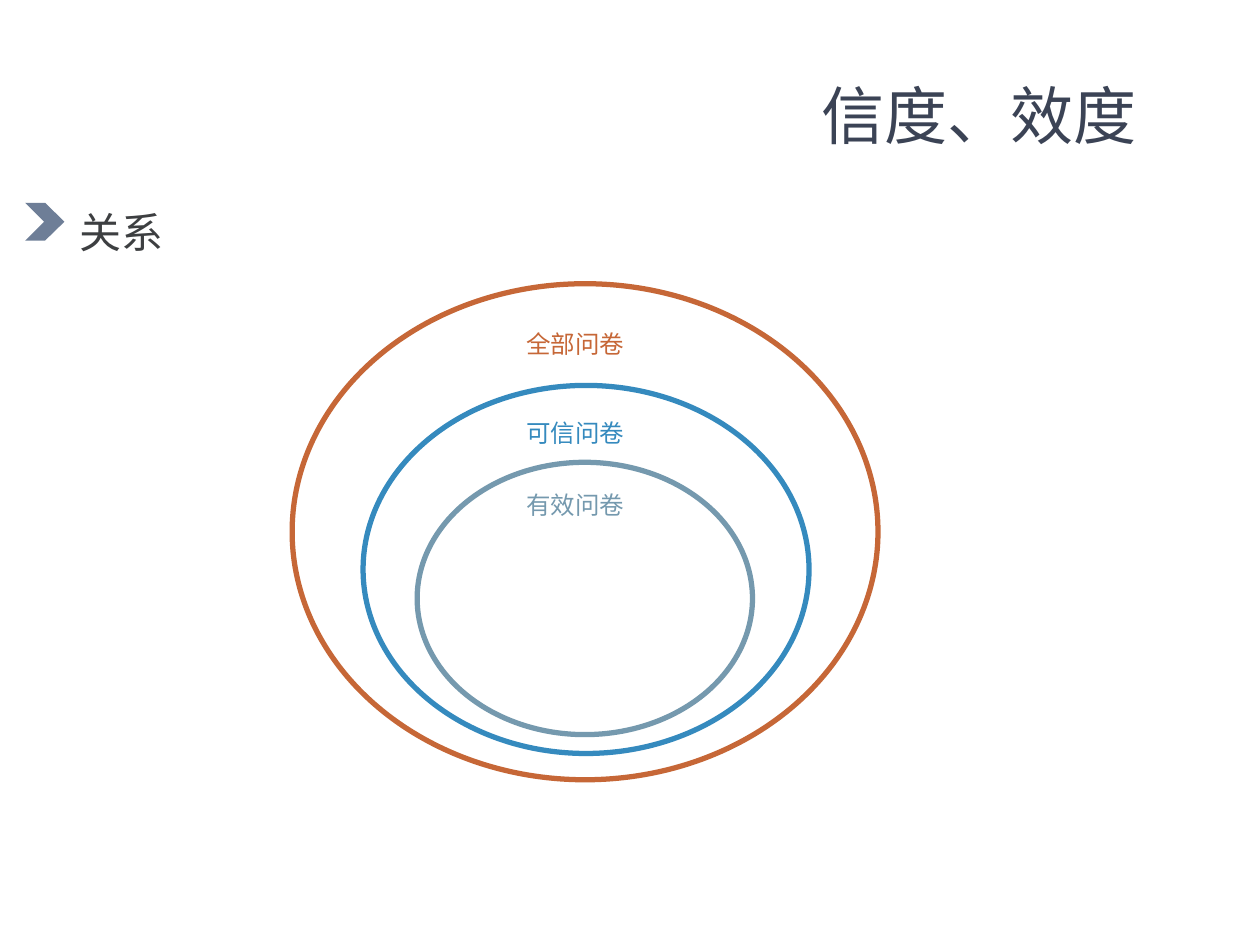
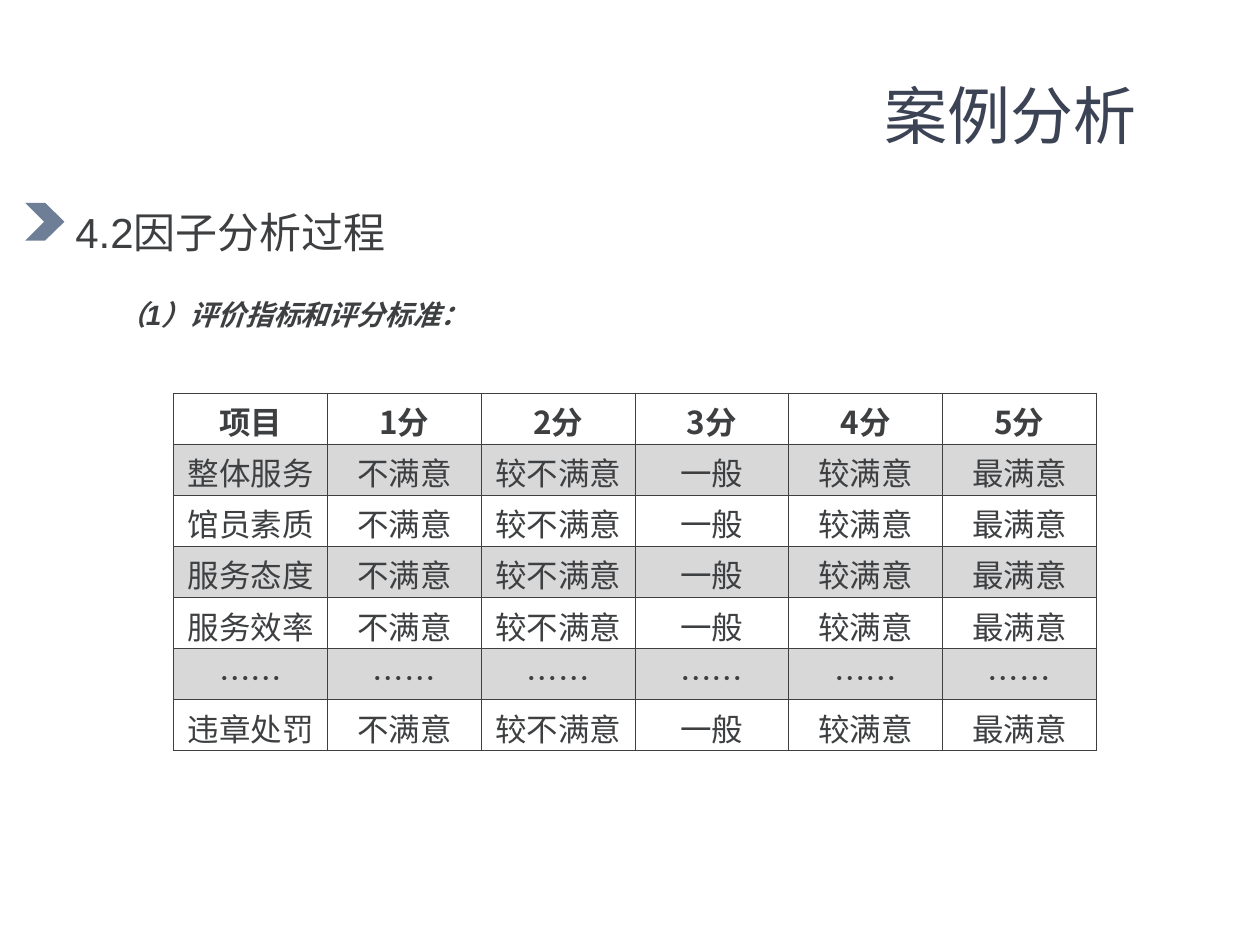
import pptx
import pptx.util
import pptx.dml.color
import pptx.enum.shapes
import pptx.enum.text
import pptx.oxml
import pptx.oxml.ns
import lxml.etree

Cm, Pt = pptx.util.Cm, pptx.util.Pt
ALIGN, ANCHOR = pptx.enum.text.PP_ALIGN, pptx.enum.text.MSO_ANCHOR
AUTO_SIZE = pptx.enum.text.MSO_AUTO_SIZE
LATIN, CJK = "Arial", "Noto Sans CJK SC"
INK, TITLE_INK, MARKER = "3D3F41", "3B4355", "6E7E97"

# Content: places in cm (left, top, width, height)
RELATION = {"title": "信度、效度", "heading": "关系", "heading_place": (1.35, 3.73, 2.22, 1.57)}
CASE = {"title": "案例分析", "heading": "4.2因子分析过程", "heading_place": (1.27, 3.73, 6.96, 1.57)}
RINGS = [  # label, label top, colour, ellipse place
    ("全部问卷", 6.33, "C66737", (5.89, 5.72, 11.81, 10)),
    ("可信问卷", 8.13, "358ABE", (7.32, 7.77, 8.99, 7.42)),
    ("有效问卷", 9.58, "7599AE", (8.41, 9.32, 6.76, 5.49)),
]
STEP = "（1）评价指标和评分标准："
SCORES = ["项目", "1分", "2分", "3分", "4分", "5分"]
RATINGS = ["不满意", "较不满意", "一般", "较满意", "最满意"]
ITEMS = ["整体服务", "馆员素质", "服务态度", "服务效率", "……", "违章处罚"]
CHEVRON = [(0.51, 4.09), (0.91, 4.09), (1.3, 4.47), (0.91, 4.85), (0.51, 4.85), (0.89, 4.47)]
COLUMN_WIDTH, ROW_HEIGHT = 3.1, 1.03


def colour(value):
    return pptx.dml.color.RGBColor.from_string(value)


def cm(values):
    return [Cm(value) for value in values]


def write(frame, text, size, ink=INK, font=LATIN, bold=False, italic=False, align=ALIGN.LEFT, spacing=None):
    paragraph = frame.paragraphs[0]
    paragraph.alignment = align
    if spacing:
        paragraph.line_spacing = spacing
    run = paragraph.add_run()
    run.text = text
    run.font.name, run.font.size = font, Pt(size)
    run.font.bold, run.font.italic = bold, italic
    run.font.color.rgb = colour(ink)
    east_asian = lxml.etree.SubElement(run.font._element, pptx.oxml.ns.qn("a:ea"))
    east_asian.set("typeface", CJK)


def add_label(slide, text, place, size, **style):
    frame = slide.shapes.add_textbox(*cm(place)).text_frame
    frame.word_wrap = False
    frame.auto_size = AUTO_SIZE.SHAPE_TO_FIT_TEXT
    write(frame, text, size, spacing=1.3, **style)


# Shared title, section heading and chevron marker
def add_slide(deck, content):
    slide = deck.slides.add_slide(deck.slide_layouts[5])
    title = slide.shapes.title
    title.left, title.top, title.width, title.height = cm((12.88, 1.19, 10.29, 2.01))
    title.text_frame.auto_size = AUTO_SIZE.NONE
    title.text_frame.vertical_anchor = ANCHOR.BOTTOM
    write(title.text_frame, content["title"], 36, ink=TITLE_INK, font=CJK, align=ALIGN.RIGHT)
    add_label(slide, content["heading"], content["heading_place"], 24)

    outline = slide.shapes.build_freeform(*cm(CHEVRON[0]))
    outline.add_line_segments([cm(point) for point in CHEVRON[1:]])
    chevron = outline.convert_to_shape()
    chevron.shadow.inherit = False
    chevron.fill.solid()
    chevron.fill.fore_color.rgb = colour(MARKER)
    chevron.line.fill.background()
    return slide


def add_ring(slide, label, label_top, ink, place):
    ring = slide.shapes.add_shape(pptx.enum.shapes.MSO_SHAPE.OVAL, *cm(place))
    ring.shadow.inherit = False
    ring.fill.background()
    ring.line.color.rgb = colour(ink)
    ring.line.width = Pt(3)
    add_label(slide, label, (10.36, label_top, 2.49, 1.04), 14, ink=ink)


def set_border(cell, side):
    cell._tc.get_or_add_tcPr().append(pptx.oxml.parse_xml(
        f'<a:ln{side} {pptx.oxml.ns.nsdecls("a")} w="{Pt(0.45)}"><a:solidFill>'
        f'<a:srgbClr val="{INK}"/></a:solidFill></a:ln{side}>'))


def shade(cell):
    cell.fill.solid()
    cell.fill.fore_color.rgb = colour(INK)
    tint = cell._tc.tcPr.find(pptx.oxml.ns.qn("a:solidFill"))[0]
    lxml.etree.SubElement(tint, pptx.oxml.ns.qn("a:alpha")).set("val", "20000")


def add_rating_table(slide):
    rows = [SCORES] + [[item] + (RATINGS if item != "……" else [item] * len(RATINGS)) for item in ITEMS]
    place = (3.5, 7.92, COLUMN_WIDTH * len(SCORES), ROW_HEIGHT * len(rows))
    table = slide.shapes.add_table(len(rows), len(SCORES), *cm(place)).table
    table.first_row = table.horz_banding = False
    for column in table.columns:
        column.width = Cm(COLUMN_WIDTH)
    for r, texts in enumerate(rows):
        table.rows[r].height = Cm(ROW_HEIGHT)
        for c, text in enumerate(texts):
            cell = table.cell(r, c)
            cell.margin_left = cell.margin_right = cell.margin_top = Cm(0.1)
            cell.margin_bottom = 0
            cell.vertical_anchor = ANCHOR.MIDDLE
            write(cell.text_frame, text, 18, font=CJK, bold=r == 0, align=ALIGN.CENTER)
            for side in "LRTB":
                set_border(cell, side)
            if r % 2:
                shade(cell)
            else:
                cell.fill.background()


def main():
    deck = pptx.Presentation()
    deck.slide_width, deck.slide_height = cm((25.4, 19.05))

    # Nested questionnaires
    relation = add_slide(deck, RELATION)
    for ring in RINGS:
        add_ring(relation, *ring)

    # Rating scale
    case = add_slide(deck, CASE)
    add_label(case, STEP, (2.13, 5.67, 7.85, 1.14), 16, bold=True, italic=True)
    add_rating_table(case)

    deck.save("out.pptx")


if __name__ == "__main__":
    main()
